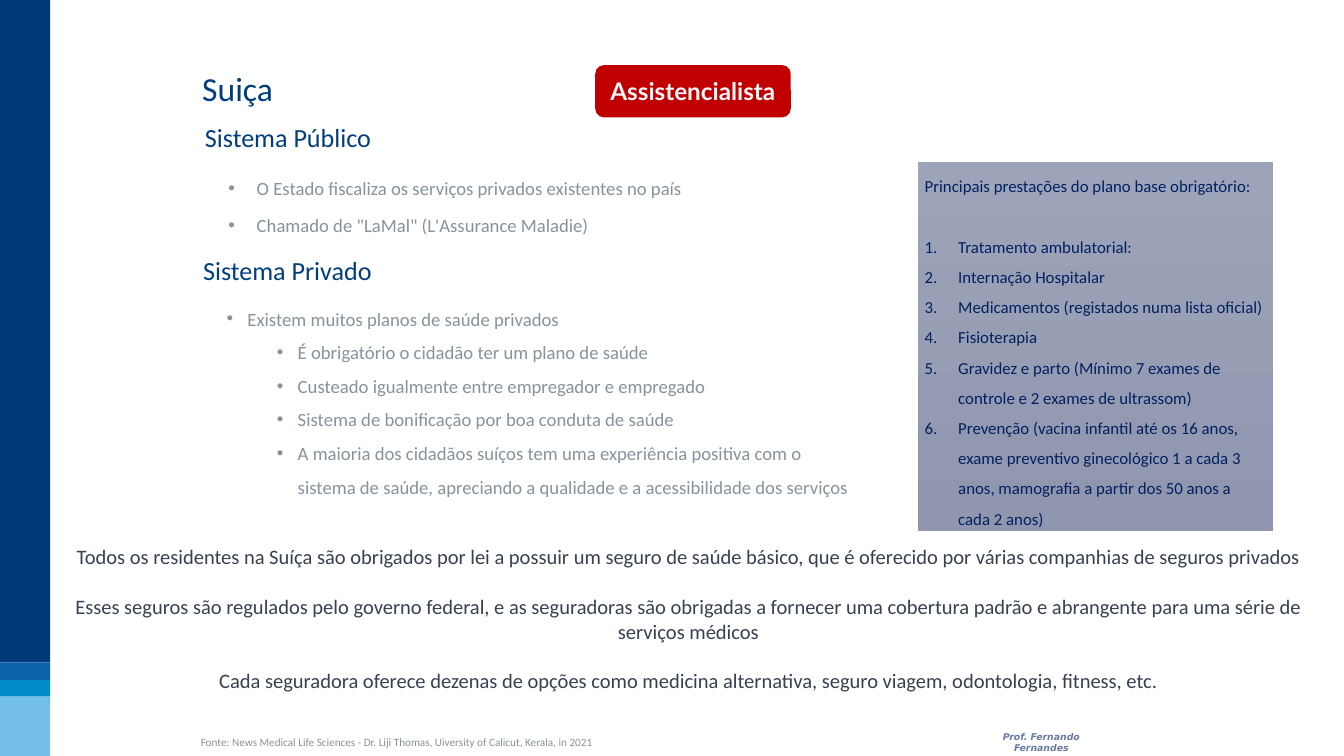
from lxml.etree import SubElement as Sub
from pptx import Presentation
from pptx.dml.color import RGBColor as Rgb
from pptx.enum.shapes import MSO_SHAPE as Form
from pptx.enum.text import MSO_ANCHOR as Anchor, MSO_AUTO_SIZE as Auto, PP_ALIGN as Align
from pptx.oxml.ns import qn
from pptx.util import Cm, Pt

NAVY = Rgb(0x00, 0x3A, 0x79)
BLUE = Rgb(0x0C, 0x63, 0xAA)
CYAN = Rgb(0x00, 0x8B, 0xC9)
SKY = Rgb(0x73, 0xBF, 0xE8)
HEAD = Rgb(0x00, 0x3E, 0x7E)
GREY = Rgb(0x86, 0x93, 0x9C)
SLATE = Rgb(0x37, 0x41, 0x51)
INK = Rgb(0x00, 0x20, 0x60)
RED = Rgb(0xC0, 0x00, 0x00)
PALE = Rgb(0xF6, 0xF7, 0xFB)
LIGHT = Rgb(0x9D, 0xA3, 0xB9)
DARK = Rgb(0x90, 0x96, 0xAE)

WIDE, HIGH = 50.8, 28.58

STATE = [
    "O Estado fiscaliza os serviços privados existentes no país",
    "Chamado de \"LaMal\" (L'Assurance Maladie)",
]
PLANS = [
    "Existem muitos planos de saúde privados",
    "É obrigatório o cidadão ter um plano de saúde",
    "Custeado igualmente entre empregador e empregado",
    "Sistema de bonificação por boa conduta de saúde",
    "A maioria dos cidadãos suíços tem uma experiência positiva com o sistema de saúde, "
    "apreciando a qualidade e a acessibilidade dos serviços",
]
RULES = [
    "Todos os residentes na Suíça são obrigados por lei a possuir um seguro de saúde básico, "
    "que é oferecido por várias companhias de seguros privados",
    "Esses seguros são regulados pelo governo federal, e as seguradoras são obrigadas a fornecer "
    "uma cobertura padrão e abrangente para uma série de serviços médicos",
    "Cada seguradora oferece dezenas de opções como medicina alternativa, seguro viagem, "
    "odontologia, fitness, etc.",
]
CARE = [
    "Tratamento ambulatorial:",
    "Internação Hospitalar",
    "Medicamentos (registados numa lista oficial)",
    "Fisioterapia",
    "Gravidez e parto (Mínimo 7 exames de controle e 2 exames de ultrassom)",
    "Prevenção (vacina infantil até os 16 anos, exame preventivo ginecológico 1 a cada 3 anos, "
    "mamografia a partir dos 50 anos a cada 2 anos)",
]


class Deck:
    face = "Calibri"

    def __init__(self):
        self.file = Presentation()
        self.file.slide_width, self.file.slide_height = Cm(WIDE), Cm(HIGH)
        self.slide = self.file.slides.add_slide(self.file.slide_layouts[4])

    def frame(self, shape, anchor=Anchor.TOP):
        frame = shape.text_frame
        frame.auto_size = Auto.NONE
        frame.word_wrap = True
        frame.vertical_anchor = anchor
        return frame

    def hold(self, slot, box):
        shape = self.slide.placeholders[slot]
        shape.left, shape.top, shape.width, shape.height = map(Cm, box)
        return self.frame(shape)

    def text(self, box):
        return self.frame(self.slide.shapes.add_textbox(*map(Cm, box)))

    def shape(self, form, box, fill=None):
        shape = self.slide.shapes.add_shape(form, *map(Cm, box))
        shape.shadow.inherit = False
        shape.line.fill.background()
        if fill is not None:
            shape.fill.solid()
            shape.fill.fore_color.rgb = fill
        return shape

    def fade(self, shape, *tones):
        shape.fill.gradient()
        shape.fill.gradient_angle = 270
        for stop, tone, place in zip(shape.fill.gradient_stops, tones, (0, 1)):
            stop.color.rgb, stop.position = tone, place

    def line(self, frame, text, size, tone, align=Align.LEFT, gap=0, space=1.0,
             face=None, bold=False, slant=False):
        first = not frame.paragraphs[0].runs
        para = frame.paragraphs[0] if first else frame.add_paragraph()
        para.alignment, para.line_spacing = align, space
        para.space_before = Pt(0 if first else gap)
        run = para.add_run()
        run.text = text
        font = run.font
        font.name, font.size, font.bold, font.italic = face or self.face, Pt(size), bold, slant
        font.color.rgb = tone
        return para

    def mark(self, para, tone, left, hang, count=False):
        props = para._p.get_or_add_pPr()
        props.set("marL", str(Cm(left)))
        props.set("indent", str(-Cm(hang)))
        Sub(Sub(props, qn("a:buClr")), qn("a:srgbClr"), val=str(tone))
        Sub(props, qn("a:buFont"), typeface="+mj-lt" if count else "Arial")
        if count:
            Sub(props, qn("a:buAutoNum"), type="arabicPeriod")
        else:
            Sub(props, qn("a:buChar"), char="•")

    def clear(self, para, part):
        for node in para._p.iter(qn("a:srgbClr")):
            Sub(node, qn("a:alpha"), val=str(part * 1000))


def main():
    deck = Deck()

    edges = [0, 25.04, 25.7, 26.34, HIGH]
    for top, end, tone in zip(edges, edges[1:], (NAVY, BLUE, CYAN, SKY)):
        deck.shape(Form.RECTANGLE, (-0.03, top, 1.93, end - top), tone)

    for slot, box, text, size in (
        (0, (7.39, 2.44, 4.5, 1.78), "Suiça", 36),
        (1, (7.49, 4.47, 8, 1.42), "Sistema Público", 28),
        (3, (7.42, 9.5, 8, 1.42), "Sistema Privado", 28),
    ):
        deck.line(deck.hold(slot, box), text, size, HEAD)

    frame = deck.hold(2, (8.38, 6.12, 34.06, 1.8))
    for text in STATE:
        para = deck.line(frame, text, 20, GREY, gap=4, space=1.5)
        deck.mark(para, GREY, 1.07, 1.07)

    frame = deck.hold(4, (8.31, 11.07, 24.51, 7.87))
    for rank, text in enumerate(PLANS):
        para = deck.line(frame, text, 20, GREY, space=1.5)
        para.level = min(rank, 1)
        deck.mark(para, GREY, 2.69 if rank else 0.79, 0.79)

    badge = deck.shape(Form.ROUNDED_RECTANGLE, (22.5, 2.46, 7.39, 1.98), RED)
    deck.line(deck.frame(badge, Anchor.MIDDLE), "Assistencialista", 26, PALE,
              Align.CENTER, face="Lato", bold=True)

    frame = deck.text((2.54, 20.45, 46.96, 5.84))
    for text in RULES:
        deck.line(frame, text, 22, SLATE, Align.CENTER, gap=26.8)

    deck.line(deck.text((7.34, 27.69, 17.48, 0.76)),
              "Fonte: News Medical Life Sciences - Dr. Liji Thomas, Uiversity of Calicut, "
              "Kerala, in 2021", 12, GREY)
    para = deck.line(deck.text((36.96, 27.51, 4.8, 0.69)), "Prof. Fernando Fernandes", 10, INK,
                     Align.CENTER, face="DejaVu Sans", bold=True, slant=True)
    deck.clear(para, 59)

    panel = deck.shape(Form.RECTANGLE, (34.7, 6.12, 13.41, 13.97))
    deck.fade(panel, LIGHT, DARK)
    frame = deck.frame(panel)
    deck.line(frame, "Principais prestações do plano base obrigatório:", 18, INK, space=1.5)
    for rank, text in enumerate(CARE):
        para = deck.line(frame, text, 18, INK, gap=0 if rank else 33, space=1.5)
        deck.mark(para, INK, 1.27, 1.27, True)

    deck.file.save("out.pptx")


if __name__ == "__main__":
    main()
